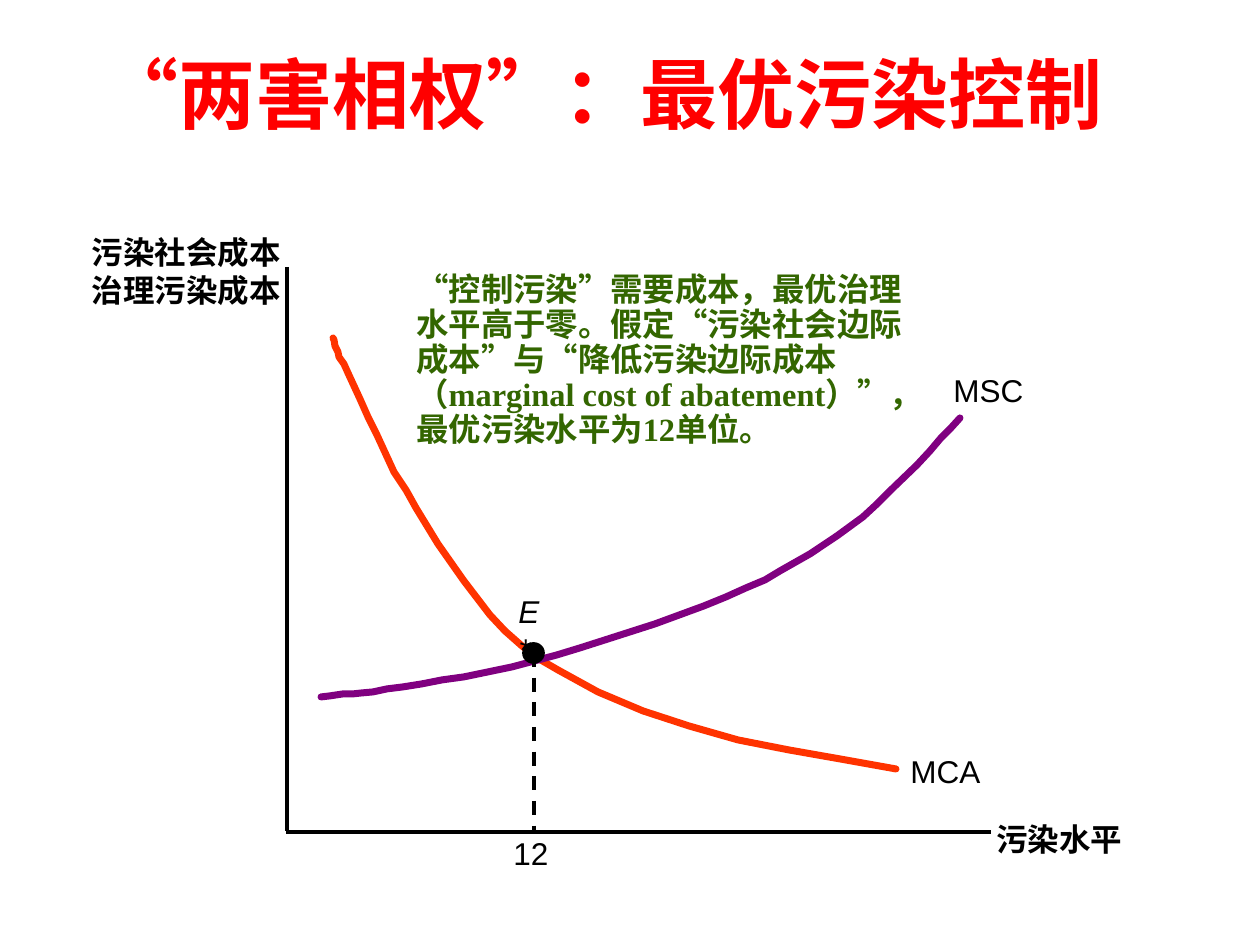
from lxml.etree import SubElement
from pptx import Presentation
from pptx.dml.color import RGBColor
from pptx.enum.dml import MSO_LINE_DASH_STYLE as Dash
from pptx.enum.shapes import MSO_CONNECTOR as Connector, MSO_SHAPE as Shape
from pptx.enum.text import MSO_ANCHOR as Anchor, MSO_AUTO_SIZE as AutoSize, PP_ALIGN as Align
from pptx.oxml.ns import qn
from pptx.util import Pt

BLACK = RGBColor(0x00, 0x00, 0x00)
RED = RGBColor(0xFF, 0x00, 0x00)
ORANGE = RGBColor(0xFF, 0x33, 0x00)
PURPLE = RGBColor(0x80, 0x00, 0x80)
GREEN = RGBColor(0x33, 0x66, 0x00)
CHINESE = "Noto Sans CJK SC"
EMU_PER_PX = 914400 / 126

ABATEMENT_COST = [
    (333, 338), (334, 340), (335, 346), (338, 352), (339, 357), (344, 364), (348, 373),
    (354, 386), (360, 399), (368, 417), (377, 435), (394, 472), (406, 490), (416, 508),
    (438, 544), (464, 581), (490, 615), (505, 631), (522, 646), (539, 659), (558, 670),
    (598, 692), (643, 711), (689, 726), (738, 740), (789, 750), (840, 759), (896, 769),
]
SOCIAL_COST = [
    (321, 697), (330, 696), (343, 694), (353, 694), (362, 693), (373, 692), (387, 689),
    (403, 687), (422, 684), (442, 680), (464, 677), (512, 667), (557, 655), (580, 648),
    (605, 640), (655, 624), (704, 606), (726, 597), (746, 588), (765, 580), (780, 571),
    (810, 554), (837, 536), (863, 517), (876, 505), (890, 491), (917, 465), (930, 451),
    (941, 438), (951, 428), (960, 418),
]


def px(*lengths):
    return [round(length * EMU_PER_PX) for length in lengths]


class CostDiagram:
    def __init__(self, slide):
        self.shapes = slide.shapes

    def text(self, box, words, size=18, color=BLACK, font="Arial", bold=False,
             italic=False, align=Align.LEFT, spacing=None, anchor=Anchor.TOP,
             wrap=False, grow=True):
        frame = self.shapes.add_textbox(*px(*box)).text_frame
        frame.word_wrap = wrap
        frame.auto_size = AutoSize.SHAPE_TO_FIT_TEXT if grow else AutoSize.NONE
        frame.vertical_anchor = anchor
        frame.text = words
        for paragraph in frame.paragraphs:
            paragraph.alignment = align
            paragraph.line_spacing = spacing
            for run in paragraph.runs:
                run.font.size = Pt(size)
                run.font.name = font
                run.font.bold = bold
                run.font.italic = italic
                run.font.color.rgb = color
                properties = run.font._element
                properties.set("lang", "zh-CN")
                SubElement(properties, qn("a:ea")).set("typeface", CHINESE)

    def line(self, start, end, dash=None):
        connector = self.shapes.add_connector(Connector.STRAIGHT, *px(*start, *end))
        connector.line.color.rgb = BLACK
        connector.line.width = Pt(2)
        if dash:
            connector.line.dash_style = dash
        SubElement(connector._element.spPr, qn("a:effectLst"))

    def curve(self, points, color):
        builder = self.shapes.build_freeform(*points[0], scale=EMU_PER_PX)
        builder.add_line_segments(points[1:], close=False)
        curve = builder.convert_to_shape()
        curve.shadow.inherit = False
        curve.fill.background()
        curve.line.color.rgb = color
        curve.line.width = Pt(4)
        outline = curve.line._get_or_add_ln()
        outline.set("cap", "rnd")
        SubElement(outline, qn("a:round"))

    def dot(self, box):
        dot = self.shapes.add_shape(Shape.OVAL, *px(*box))
        dot.shadow.inherit = False
        dot.fill.solid()
        dot.fill.fore_color.rgb = BLACK
        dot.line.color.rgb = BLACK
        dot.line.width = Pt(1)


def main():
    deck = Presentation()
    deck.slide_width, deck.slide_height = px(1260, 945)
    diagram = CostDiagram(deck.slides.add_slide(deck.slide_layouts[6]))

    diagram.text((89, 29, 1103, 116), "“两害相权”：最优污染控制", size=44, color=RED,
                 bold=True, anchor=Anchor.BOTTOM, wrap=True, grow=False)
    diagram.line((287, 267), (287, 831))
    diagram.line((286, 832), (991, 832))
    diagram.text((79, 227, 214, 88), "污染社会成本\n治理污染成本", font=CHINESE,
                 bold=True, align=Align.RIGHT)
    diagram.curve(ABATEMENT_COST, ORANGE)
    diagram.curve(SOCIAL_COST, PURPLE)
    diagram.text((941, 365, 95, 50), "MSC")
    diagram.text((898, 746, 95, 50), "MCA")
    diagram.line((534, 653), (534, 832), Dash.DASH)
    diagram.text((501, 828, 86, 50), "12", wrap=True)
    diagram.text((506, 586, 58, 50), "E*", italic=True)
    diagram.dot((523, 643, 21, 20))
    diagram.text((404, 202, 510, 253),
                 "“控制污染”需要成本，最优治理水平高于零。假定“污染社会边际成本”与"
                 "“降低污染边际成本（marginal cost of abatement）”，最优污染水平为12单位。",
                 size=18.5, color=GREEN, font="Times New Roman", bold=True, spacing=0.9,
                 anchor=Anchor.BOTTOM, wrap=True, grow=False)
    diagram.text((984, 814, 151, 50), "污染水平", font=CHINESE, bold=True)
    deck.save("out.pptx")


if __name__ == "__main__":
    main()
